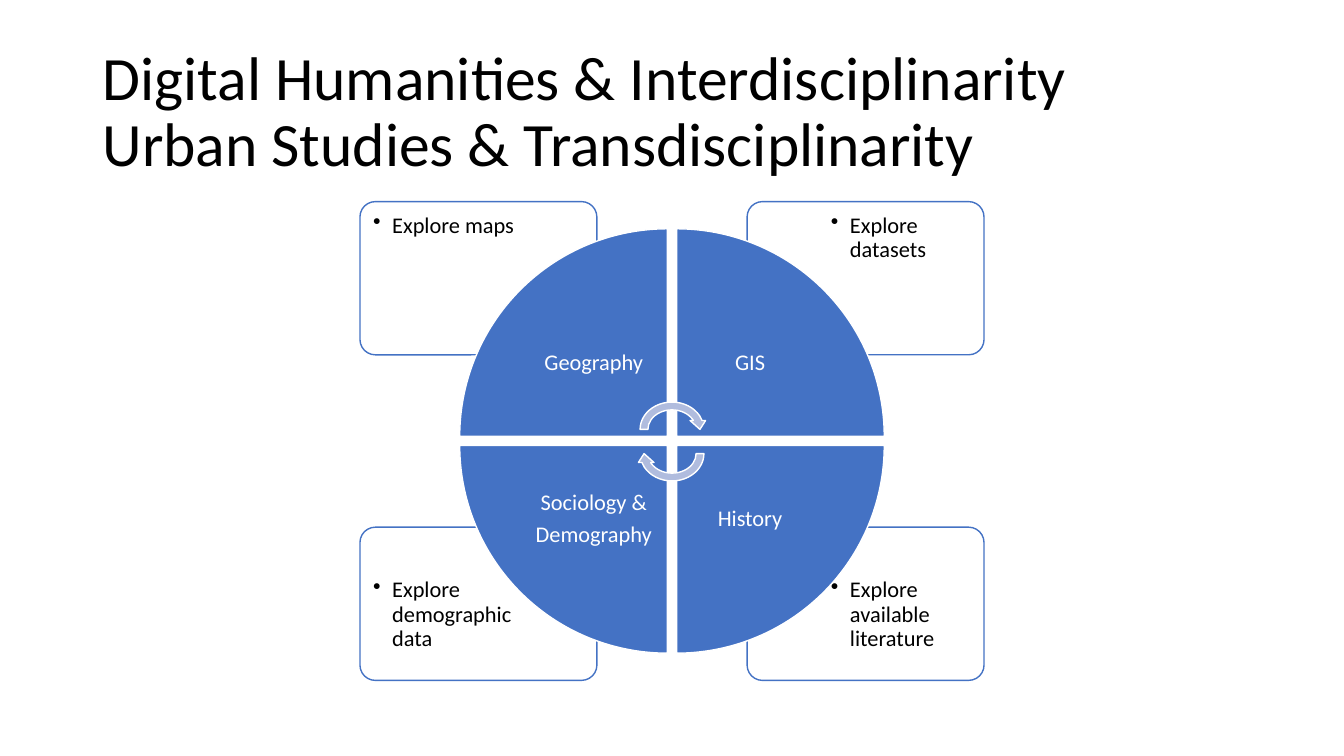
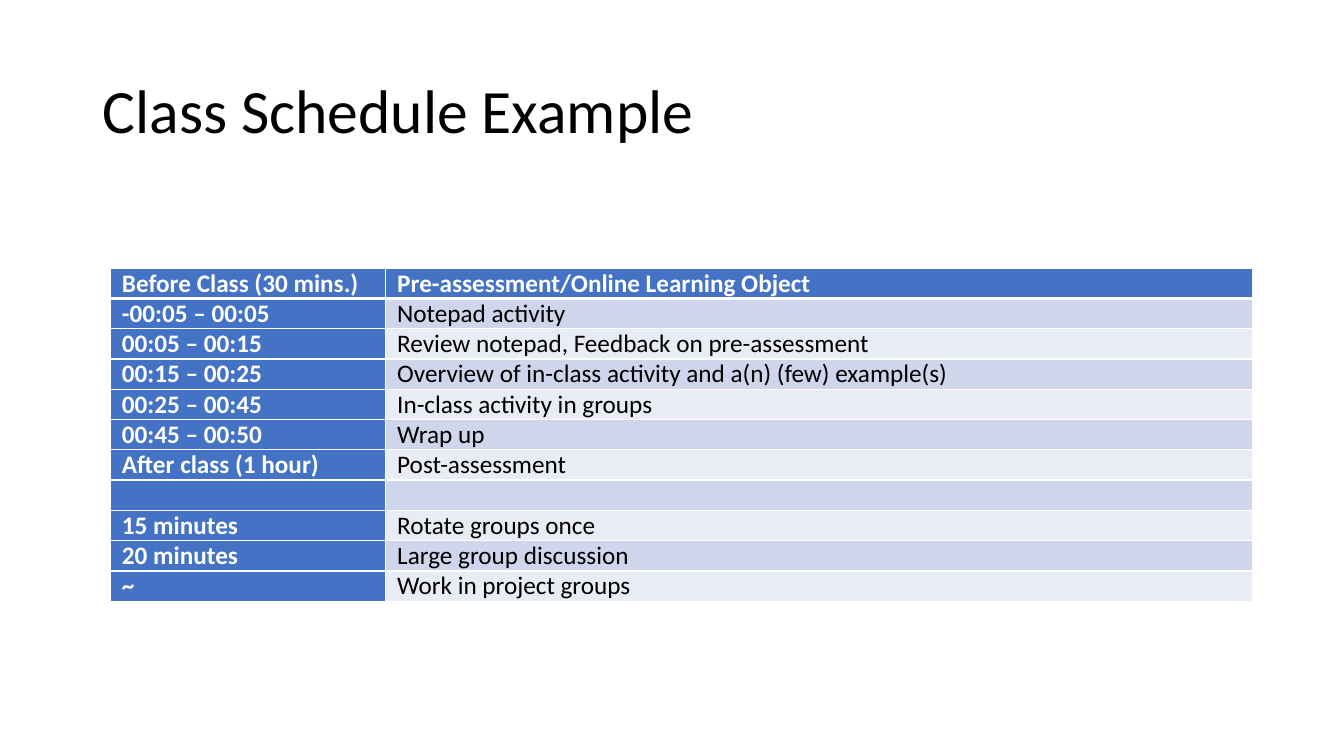
"""Build a two-slide deck: a four-part subject wheel and a class schedule table."""
from dataclasses import dataclass

from lxml.etree import SubElement
from pptx import Presentation
from pptx.dml.color import RGBColor
from pptx.enum.shapes import MSO_SHAPE
from pptx.enum.text import MSO_ANCHOR, PP_ALIGN
from pptx.oxml.ns import qn
from pptx.util import Inches, Pt


@dataclass(frozen=True)
class Theme:
    font: str = "Calibri"
    text: str = "000000"
    white: str = "FFFFFF"
    accent: str = "4472C4"
    arrow: str = "B0BCDE"
    bands: tuple = ("E9EBF5", "CFD5EA")
    title_size: int = 44
    wheel_size: int = 16
    table_size: int = 18


THEME = Theme()

WHEEL_TITLE = "Digital Humanities & Interdisciplinarity\vUrban Studies & Transdisciplinarity"
SUBJECTS = [
    {"column": 0, "row": 0, "turn": 0, "name": ["Geography"], "task": "Explore maps"},
    {"column": 1, "row": 0, "turn": 90, "name": ["GIS"], "task": "Explore datasets"},
    {"column": 1, "row": 1, "turn": 180, "name": ["History"], "task": "Explore available literature"},
    {"column": 0, "row": 1, "turn": 270, "name": ["Sociology &", "Demography"],
     "task": "Explore demographic data"},
]

SCHEDULE_TITLE = "Class Schedule Example"
SCHEDULE = [
    ("Before Class (30 mins.)", "Pre-assessment/Online Learning Object"),
    ("-00:05 – 00:05", "Notepad activity"),
    ("00:05 – 00:15", "Review notepad, Feedback on pre-assessment"),
    ("00:15 – 00:25", "Overview of in-class activity and a(n) (few) example(s)"),
    ("00:25 – 00:45", "In-class activity in groups"),
    ("00:45 – 00:50", "Wrap up"),
    ("After class (1 hour)", "Post-assessment"),
    ("", ""),
    ("15 minutes", "Rotate groups once"),
    ("20 minutes", "Large group discussion"),
    ("~", "Work in project groups"),
]
COLUMN_WIDTHS = (2.73, 8.6)
ROW_HEIGHT = 0.3

CARD_LEFT, CARD_TOP = (3.57, 7.41), (2, 5.23)
CARD_WIDTH, CARD_HEIGHT = 2.35, 1.52
TASK_SHIFT_X, TASK_SHIFT_Y = (0.04, 0.74), (0.03, 0.42)
WEDGE_LEFT, WEDGE_TOP, WEDGE_SIZE = 4.56, 2.27, 2.06
WEDGE_STEP = 2.15
LABEL_SIZE = 1.46
ARROWS = [(3.95, 0), (4.19, 180)]


def style_font(para, size, color, bold=False):
    para.font.name = THEME.font
    para.font.size = Pt(size)
    para.font.bold = bold
    para.font.color.rgb = RGBColor.from_string(color)


def add_text(page, area, lines, size, color, inset=None, anchor=MSO_ANCHOR.TOP,
             align=PP_ALIGN.LEFT, space_after=0):
    box = page.shapes.add_textbox(*map(Inches, area))
    frame = box.text_frame
    frame.word_wrap = True
    frame.vertical_anchor = anchor
    if inset is not None:
        frame.margin_left = frame.margin_right = Inches(inset)
        frame.margin_top = frame.margin_bottom = Inches(inset)
    for index, line in enumerate(lines):
        para = frame.add_paragraph() if index else frame.paragraphs[0]
        para.text = line
        para.alignment = align
        para.line_spacing = 0.9
        para.space_after = Pt(space_after)
        style_font(para, size, color)
    return frame


def add_bullet(para):
    properties = para._p.get_or_add_pPr()
    properties.set("marL", str(Inches(0.19)))
    properties.set("indent", str(-Inches(0.19)))
    bullet = properties.makeelement(qn("a:buChar"), {"char": "•"})
    properties.insert_element_before(bullet, "a:tabLst", "a:defRPr", "a:extLst")


def add_figure(page, kind, area, fill, line, turn=0):
    shape = page.shapes.add_shape(kind, *map(Inches, area))
    shape.shadow.inherit = False
    shape.fill.solid()
    shape.fill.fore_color.rgb = RGBColor.from_string(fill)
    shape.line.color.rgb = RGBColor.from_string(line)
    shape.line.width = Pt(1)
    shape.rotation = turn
    return shape


def add_page(deck, title):
    page = deck.slides.add_slide(deck.slide_layouts[6])
    add_text(page, (0.92, 0.4, 11.5, 1.45), [title], THEME.title_size, THEME.text,
             anchor=MSO_ANCHOR.MIDDLE)
    return page


def add_card(page, subject):
    column, row = subject["column"], subject["row"]
    left, top = CARD_LEFT[column], CARD_TOP[row]
    card = add_figure(page, MSO_SHAPE.ROUNDED_RECTANGLE, (left, top, CARD_WIDTH, CARD_HEIGHT),
                      THEME.white, THEME.accent)
    card.adjustments[0] = 0.1
    fill_color = card._element.spPr.find(qn("a:solidFill"))[0]
    SubElement(fill_color, qn("a:alpha"), val="90000")
    area = (left + TASK_SHIFT_X[column], top + TASK_SHIFT_Y[row], 1.58, 1.08)
    frame = add_text(page, area, [subject["task"]], THEME.wheel_size, THEME.text, inset=0.09)
    add_bullet(frame.paragraphs[0])


def add_wedge(page, subject):
    column, row = subject["column"], subject["row"]
    left, top = WEDGE_LEFT + column * WEDGE_STEP, WEDGE_TOP + row * WEDGE_STEP
    add_figure(page, MSO_SHAPE.PIE_WEDGE, (left, top, WEDGE_SIZE, WEDGE_SIZE),
               THEME.accent, THEME.white, subject["turn"])
    shift = WEDGE_SIZE - LABEL_SIZE
    area = (left + shift * (1 - column), top + shift * (1 - row), LABEL_SIZE, LABEL_SIZE)
    add_text(page, area, subject["name"], THEME.wheel_size, THEME.white, inset=0.12,
             anchor=MSO_ANCHOR.MIDDLE, align=PP_ALIGN.CENTER,
             space_after=0.35 * THEME.wheel_size)


def build_wheel(deck):
    page = add_page(deck, WHEEL_TITLE)
    for subject in reversed(SUBJECTS):
        add_card(page, subject)
    for subject in SUBJECTS:
        add_wedge(page, subject)
    for top, turn in ARROWS:
        add_figure(page, MSO_SHAPE.CIRCULAR_ARROW, (6.31, top, 0.71, 0.62),
                   THEME.arrow, THEME.white, turn)


def add_borders(cell, widths):
    properties = cell._tc.get_or_add_tcPr()
    for side, width in widths.items():
        line = SubElement(properties, qn(f"a:ln{side}"), w=str(Pt(width)))
        fill = SubElement(line, qn("a:solidFill"))
        SubElement(fill, qn("a:srgbClr"), val=THEME.white)


def build_schedule(deck):
    page = add_page(deck, SCHEDULE_TITLE)
    area = (1.09, 2.66, sum(COLUMN_WIDTHS), ROW_HEIGHT * len(SCHEDULE))
    table = page.shapes.add_table(len(SCHEDULE), len(COLUMN_WIDTHS), *map(Inches, area)).table
    table.first_row = table.horz_banding = False
    for column, width in zip(table.columns, COLUMN_WIDTHS):
        column.width = Inches(width)
    for row, texts in enumerate(SCHEDULE):
        table.rows[row].height = Inches(ROW_HEIGHT)
        for column, text in enumerate(texts):
            heading = row == 0 or column == 0
            cell = table.cell(row, column)
            cell.margin_left = cell.margin_right = Inches(0.12)
            cell.margin_top = cell.margin_bottom = 0
            add_borders(cell, {"L": 1, "R": 1, "T": 3 if row == 1 else 1,
                               "B": 3 if row == 0 else 1})
            cell.fill.solid()
            fill = THEME.accent if heading else THEME.bands[row % 2]
            cell.fill.fore_color.rgb = RGBColor.from_string(fill)
            para = cell.text_frame.paragraphs[0]
            para.text = text
            style_font(para, THEME.table_size, THEME.white if heading else THEME.text, heading)


def main():
    deck = Presentation()
    deck.slide_width, deck.slide_height = Inches(13.33), Inches(7.5)
    build_wheel(deck)
    build_schedule(deck)
    deck.save("out.pptx")


if __name__ == "__main__":
    main()
